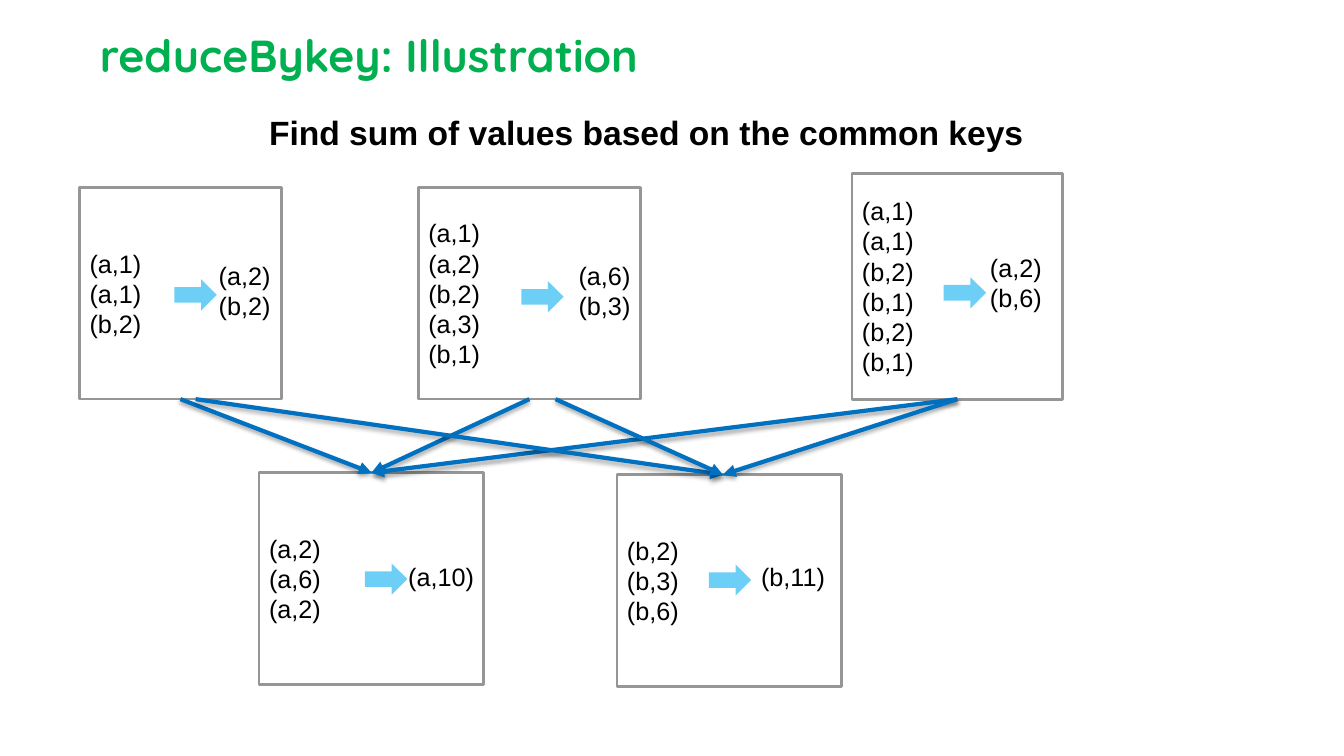
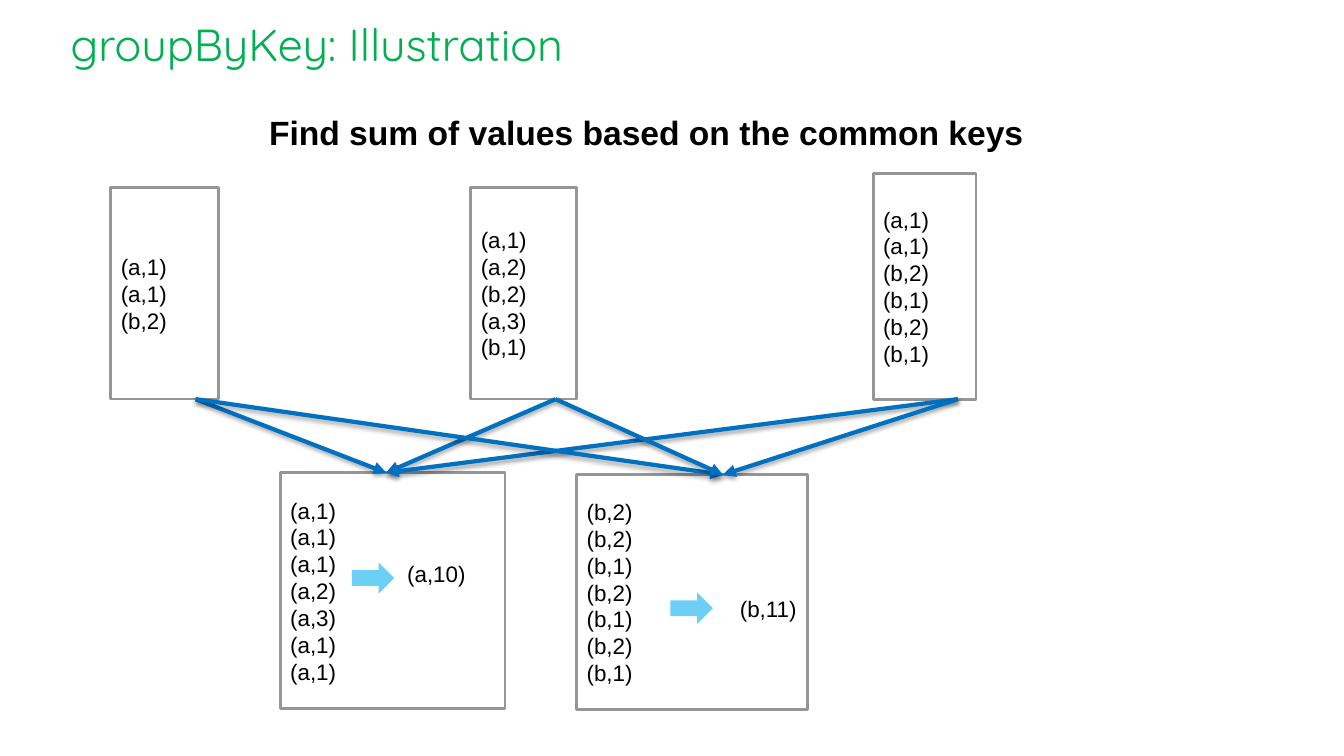
from lxml.etree import SubElement
from pptx import Presentation
from pptx.dml.color import RGBColor
from pptx.enum.shapes import MSO_CONNECTOR, MSO_SHAPE
from pptx.enum.text import MSO_ANCHOR, MSO_AUTO_SIZE, PP_ALIGN
from pptx.oxml.ns import qn
from pptx.util import Emu, Pt

PX = 9144
BLACK, WHITE, GRAY = "000000", "FFFFFF", "969696"
GREEN, SKY, BLUE = "00B050", "6DCFF6", "0070C0"
BODY_FONT, TITLE_FONT = "Arial", "Quicksand"
SUBTITLE = "Find sum of values based on the common keys"
FIRST_INPUT = "(a,1) (a,1) (b,2)"
SECOND_INPUT = "(a,1) (a,2) (b,2) (a,3) (b,1)"
THIRD_INPUT = "(a,1) (a,1) (b,2) (b,1) (b,2) (b,1)"

REDUCE = {
    "title": "reduceBykey: Illustration",
    "title_at": (89, 29),
    "bold": True,
    "size": 18,
    "partitions": [
        ((79, 186, 200, 210), FIRST_INPUT),
        ((415, 186, 220, 210), SECOND_INPUT),
        ((845, 172, 209, 224), THIRD_INPUT),
    ],
    "reducers": [
        ((257, 469, 223, 210), "(a,2) (a,6) (a,2)"),
        ((612, 471, 223, 210), "(b,2) (b,3) (b,6)"),
    ],
    "results": [
        ((173, 277), (207, 253, 72, 71), "(a,2) (b,2)"),
        ((517, 279), (564, 253, 72, 71), "(a,6) (b,3)"),
        ((936, 275), (972, 245, 72, 71), "(a,2) (b,6)"),
        ((362, 559), (395, 552, 86, 40), "(a,10)"),
        ((703, 560), (745, 552, 84, 40), "(b,11)"),
    ],
    "flows": [(369, (179, 525, 950)), (717, (194, 551, 950))],
}

GROUP = {
    "title": "groupByKey: Illustration",
    "title_at": (60, 18),
    "bold": False,
    "size": 16,
    "partitions": [
        ((110, 186, 107, 210), FIRST_INPUT),
        ((467, 186, 105, 210), SECOND_INPUT),
        ((866, 172, 102, 224), THIRD_INPUT),
    ],
    "reducers": [
        ((278, 469, 223, 234), "(a,1) (a,1) (a,1) (a,2) (a,3) (a,1) (a,1)"),
        ((572, 471, 229, 233), "(b,2) (b,2) (b,1) (b,2) (b,1) (b,2) (b,1)"),
    ],
    "results": [
        ((349, 558), (394, 551, 79, 37), "(a,10)"),
        ((665, 588), (724, 586, 77, 37), "(b,11)"),
    ],
    "flows": [(383, (194, 551, 950)), (717, (194, 551, 950))],
}


def px(*lengths):
    return [Emu(length * PX) for length in lengths]


def color(value):
    return RGBColor.from_string(value)


def write_lines(frame, lines, size, font=BODY_FONT, ink=BLACK, bold=False):
    for index, line in enumerate(lines):
        paragraph = frame.paragraphs[0] if index == 0 else frame.add_paragraph()
        paragraph.alignment = PP_ALIGN.LEFT
        run = paragraph.add_run()
        run.text = line
        run.font.name = font
        run.font.size = Pt(size)
        run.font.bold = bold
        run.font.color.rgb = color(ink)


def add_title(slide, text, corner, bold):
    title = slide.shapes.title
    title.left, title.top, title.width, title.height = px(*corner, 1150, 62)
    frame = title.text_frame
    frame.auto_size = MSO_AUTO_SIZE.NONE
    frame.word_wrap = True
    frame.vertical_anchor = MSO_ANCHOR.BOTTOM
    (frame.margin_left, frame.margin_top,
     frame.margin_right, frame.margin_bottom) = px(10, 10, 10, 10)
    write_lines(frame, [text], 32, TITLE_FONT, GREEN, bold)


def add_label(slide, box, lines, size, bold=False):
    frame = slide.shapes.add_textbox(*px(*box)).text_frame
    frame.word_wrap = False
    frame.auto_size = MSO_AUTO_SIZE.SHAPE_TO_FIT_TEXT
    write_lines(frame, lines, size, bold=bold)


def add_filled(slide, preset, box, fill):
    shape = slide.shapes.add_shape(preset, *px(*box))
    shape.shadow.inherit = False
    shape.fill.solid()
    shape.fill.fore_color.rgb = color(fill)
    return shape


def add_pairs_box(slide, box, pairs, size):
    shape = add_filled(slide, MSO_SHAPE.RECTANGLE, box, WHITE)
    shape.line.color.rgb = color(GRAY)
    shape.line.width = Pt(2)
    shape.text_frame.word_wrap = True
    shape.text_frame.vertical_anchor = MSO_ANCHOR.MIDDLE
    write_lines(shape.text_frame, pairs.split(), size)
    return shape


def add_result(slide, arrow_at, box, pairs, size):
    arrow = add_filled(slide, MSO_SHAPE.RIGHT_ARROW, (*arrow_at, 42, 31), SKY)
    arrow.line.fill.background()
    add_label(slide, box, pairs.split(), size)


def at_middle(shape, x):
    return abs(shape.left + shape.width / 2 - x * PX) <= PX


def add_flow(slide, partition, start_x, reducer, end_x):
    start_y = partition.top + partition.height
    flow = slide.shapes.add_connector(
        MSO_CONNECTOR.STRAIGHT, *px(start_x), start_y, *px(end_x), reducer.top)
    if at_middle(partition, start_x):
        flow.begin_connect(partition, 2)
    if at_middle(reducer, end_x):
        flow.end_connect(reducer, 0)
    flow.line.color.rgb = color(BLUE)
    flow.line.width = Pt(3)
    SubElement(flow.line._get_or_add_ln(), qn("a:tailEnd"), type="triangle")
    effects = SubElement(flow._element.spPr, qn("a:effectLst"))
    shadow = SubElement(effects, qn("a:outerShdw"), blurRad="40000",
                        dist="23000", dir="5400000", rotWithShape="0")
    tint = SubElement(shadow, qn("a:srgbClr"), val=BLACK)
    SubElement(tint, qn("a:alpha"), val="35000")


def add_illustration(deck, content):
    slide = deck.slides.add_slide(deck.slide_layouts[5])
    size = content["size"]
    add_title(slide, content["title"], content["title_at"], content["bold"])
    add_label(slide, (257, 106, 775, 50), [SUBTITLE], 24, bold=True)
    partitions, reducers = (
        [add_pairs_box(slide, box, pairs, size) for box, pairs in content[stage]]
        for stage in ("partitions", "reducers"))
    for arrow_at, box, pairs in content["results"]:
        add_result(slide, arrow_at, box, pairs, size)
    for reducer, (end_x, starts) in zip(reducers, content["flows"]):
        for partition, start_x in zip(partitions, starts):
            add_flow(slide, partition, start_x, reducer, end_x)


def main():
    deck = Presentation()
    deck.slide_width, deck.slide_height = px(1333, 750)
    for content in (REDUCE, GROUP):
        add_illustration(deck, content)
    deck.save("out.pptx")


if __name__ == "__main__":
    main()
